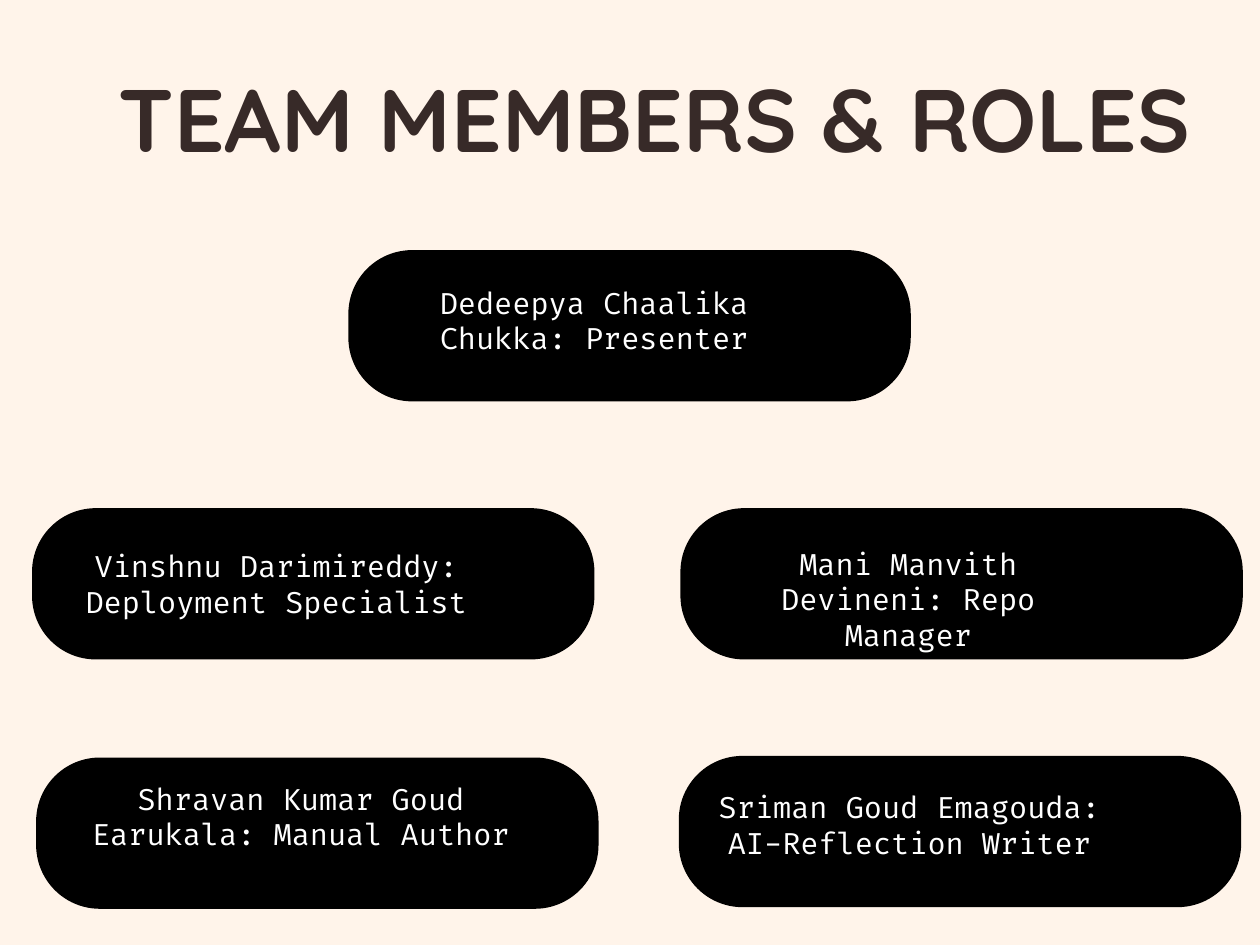
from dataclasses import dataclass

from pptx import Presentation
from pptx import util as u
from pptx.dml.color import RGBColor
from pptx.enum import shapes, text


@dataclass(frozen=True)
class Theme:
    back: str = "FFF4EA"
    ink: str = "372A28"
    pill: str = "000000"
    light: str = "FFFFFF"
    head: str = "Quicksand"
    mono: str = "Fira Code"
    big: float = 54
    small: float = 18


class Deck:
    """Holds the theme and the current slide."""

    def __init__(self, theme, wide, high):
        self.theme = theme
        self.prs = Presentation()
        self.prs.slide_width, self.prs.slide_height = u.Pt(wide), u.Pt(high)
        self.slide = self.prs.slides.add_slide(self.prs.slide_layouts[5])
        self.paint(self.slide.background.fill, theme.back)

    def paint(self, fill, tint):
        fill.solid()
        fill.fore_color.rgb = RGBColor.from_string(tint)

    def label(self, shape, words, face, size, tint, lead, bold=False):
        frame = shape.text_frame
        frame.text = words
        frame.word_wrap = True
        frame.auto_size = text.MSO_AUTO_SIZE.SHAPE_TO_FIT_TEXT
        frame.vertical_anchor = text.MSO_ANCHOR.TOP
        frame.margin_left = frame.margin_right = 0
        frame.margin_top = frame.margin_bottom = 0
        para = frame.paragraphs[0]
        para.alignment = text.PP_ALIGN.CENTER
        para.line_spacing = u.Pt(lead)
        para.font.name, para.font.size = face, u.Pt(size)
        para.font.bold = bold
        para.font.color.rgb = RGBColor.from_string(tint)

    def title(self, words, x, y, w, h):
        t = self.theme
        shape = self.slide.shapes.title
        shape.left, shape.top = u.Pt(x), u.Pt(y)
        shape.width, shape.height = u.Pt(w), u.Pt(h)
        self.label(shape, words, t.head, t.big, t.ink, 70, True)

    def card(self, words, spot, start, wide):
        """Group a rounded pill with its label."""
        t = self.theme
        group = self.slide.shapes.add_group_shape()
        x, y = spot
        pill = group.shapes.add_shape(
            shapes.MSO_SHAPE.ROUNDED_RECTANGLE,
            u.Pt(x), u.Pt(y), u.Pt(341.3), u.Pt(90.7))
        pill.adjustments[0] = 0.42
        pill.shadow.inherit = False
        self.paint(pill.fill, t.pill)
        self.paint(pill.line.fill, t.pill)
        pill.line.width = u.Pt(1.5)
        x, y = start
        box = group.shapes.add_textbox(u.Pt(x), u.Pt(y), u.Pt(wide), u.Pt(44))
        self.label(box, words, t.mono, t.small, t.light, 21.6)


# Member and role, pill corner, label corner, label width
TEAM = [
    ("Dedeepya Chaalika Chukka: Presenter",
     (213.1, 153.2), (243.4, 173.5), 237.6),
    ("Mani Manvith Devineni: Repo Manager",
     (415.5, 310.5), (434.9, 332.6), 237.6),
    ("Vinshnu Darimireddy: Deployment Specialist",
     (20.3, 310.5), (49.7, 334.1), 237.6),
    ("Sriman Goud Emagouda: AI-Reflection Writer",
     (414.5, 461.5), (435.6, 481), 237.6),
    ("Shravan Kumar Goud Earukala: Manual Author",
     (22.8, 462.5), (37.4, 475.9), 292.3),
]


def main():
    deck = Deck(Theme(), 768, 576)
    # Heading
    deck.title("TEAM MEMBERS & ROLES", 40.3, 33.8, 717.1, 67)
    # Team cards
    for member in TEAM:
        deck.card(*member)
    deck.prs.save("out.pptx")


if __name__ == "__main__":
    main()
